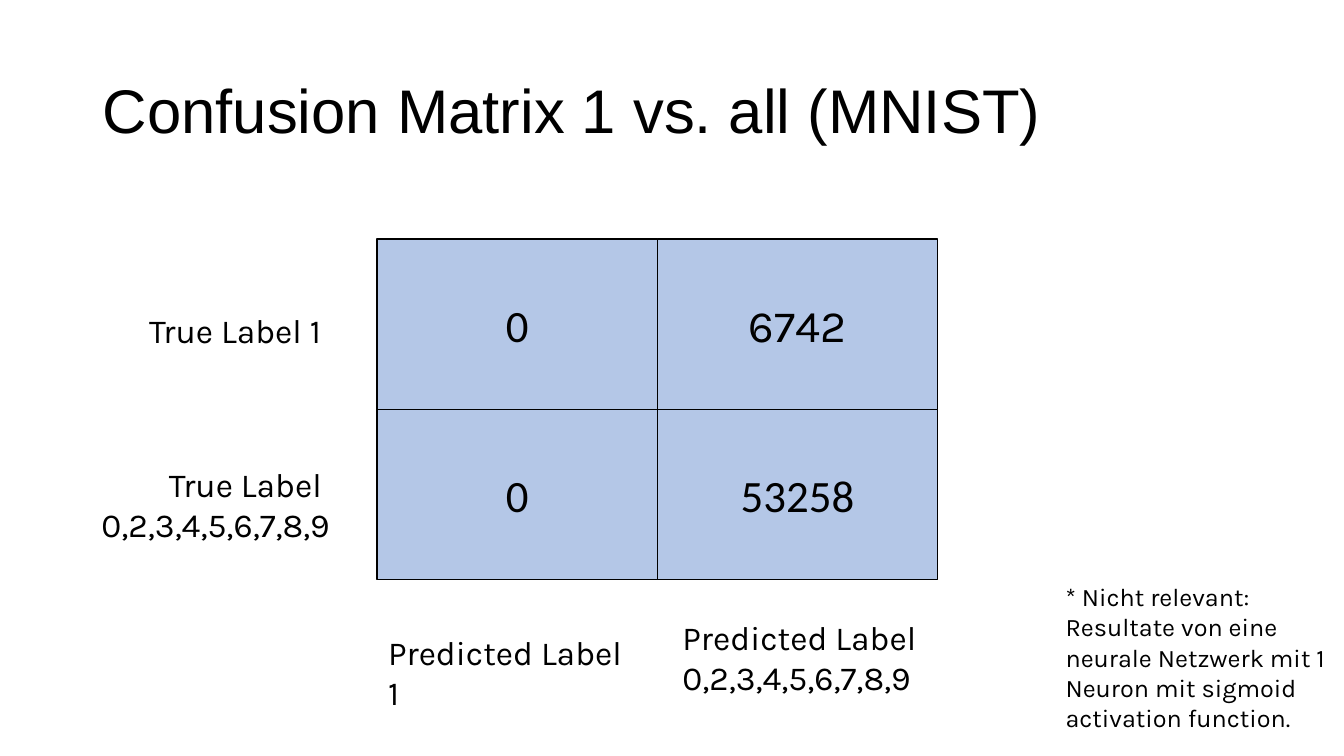
"""Build the slide with a two-by-two confusion matrix."""
from pptx import Presentation
from pptx import util as u
from pptx.dml.color import RGBColor
from pptx.enum import shapes, text

BLACK = RGBColor(0, 0, 0)
BLUE = RGBColor(0xB4, 0xC7, 0xE7)
LEFT, TOP, WIDE, HIGH = 3.74, 2.37, 2.78, 1.69
DIGITS = "0,2,3,4,5,6,7,8,9"
CELLS = [
    [("0", "Calibri"), ("6742", "Karla")],
    [("0", "Calibri"), ("53258", "Calibri")],
]
LABELS = [
    ((1.38, 3.03, 1.95, 0.5), "True Label 1", 24, "LEFT"),
    ((3.75, 6.22, 2.69, 0.5), "Predicted Label 1", 24, "LEFT"),
    ((0.71, 4.55, 2.66, 0.91), "True Label \n" + DIGITS, 24, "RIGHT"),
    ((6.67, 6.07, 2.66, 0.91), "Predicted Label\n" + DIGITS, 24, "LEFT"),
    ((10.47, 5.72, 2.78, 1.62),
     "* Nicht relevant: Resultate von eine neurale Netzwerk mit 1 "
     "Neuron mit sigmoid activation function.", 18, "LEFT"),
]


class Page:
    def __init__(self, deck):
        self.slide = deck.slides.add_slide(deck.slide_layouts[5])

    def style(self, frame, words, size, font, align):
        frame.text = words
        frame.word_wrap = True
        for para in frame.paragraphs:
            para.alignment = text.PP_ALIGN[align]
            for run in para.runs:
                run.font.size = u.Pt(size)
                run.font.name = font
                run.font.color.rgb = BLACK

    def title(self, box, words):
        head = self.slide.shapes.title
        head.left, head.top, head.width, head.height = map(u.Inches, box)
        frame = head.text_frame
        self.style(frame, words, 44, "Arial", "LEFT")
        frame.auto_size = text.MSO_AUTO_SIZE.NONE
        frame.vertical_anchor = text.MSO_ANCHOR.MIDDLE
        frame.paragraphs[0].line_spacing = 0.9

    def cell(self, box, words, font):
        cell = self.slide.shapes.add_shape(
            shapes.MSO_SHAPE.RECTANGLE, *map(u.Inches, box))
        cell.shadow.inherit = False
        cell.fill.solid()
        cell.fill.fore_color.rgb = BLUE
        cell.line.color.rgb = BLACK
        cell.line.width = u.Pt(1)
        cell.text_frame.vertical_anchor = text.MSO_ANCHOR.MIDDLE
        self.style(cell.text_frame, words, 32, font, "CENTER")

    def label(self, box, words, size, align):
        label = self.slide.shapes.add_textbox(*map(u.Inches, box))
        self.style(label.text_frame, words, size, "Karla", align)
        label.text_frame.auto_size = text.MSO_AUTO_SIZE.SHAPE_TO_FIT_TEXT


def main():
    deck = Presentation()
    deck.slide_width, deck.slide_height = u.Inches(13.33), u.Inches(7.5)
    page = Page(deck)
    page.title((0.92, 0.4, 11.5, 1.45), "Confusion Matrix 1 vs. all (MNIST)")
    for row, line in enumerate(CELLS):
        for col, (words, font) in enumerate(line):
            box = (LEFT + col * WIDE, TOP + row * HIGH, WIDE, HIGH)
            page.cell(box, words, font)
    for label in LABELS:
        page.label(*label)
    deck.save("out.pptx")


if __name__ == "__main__":
    main()
